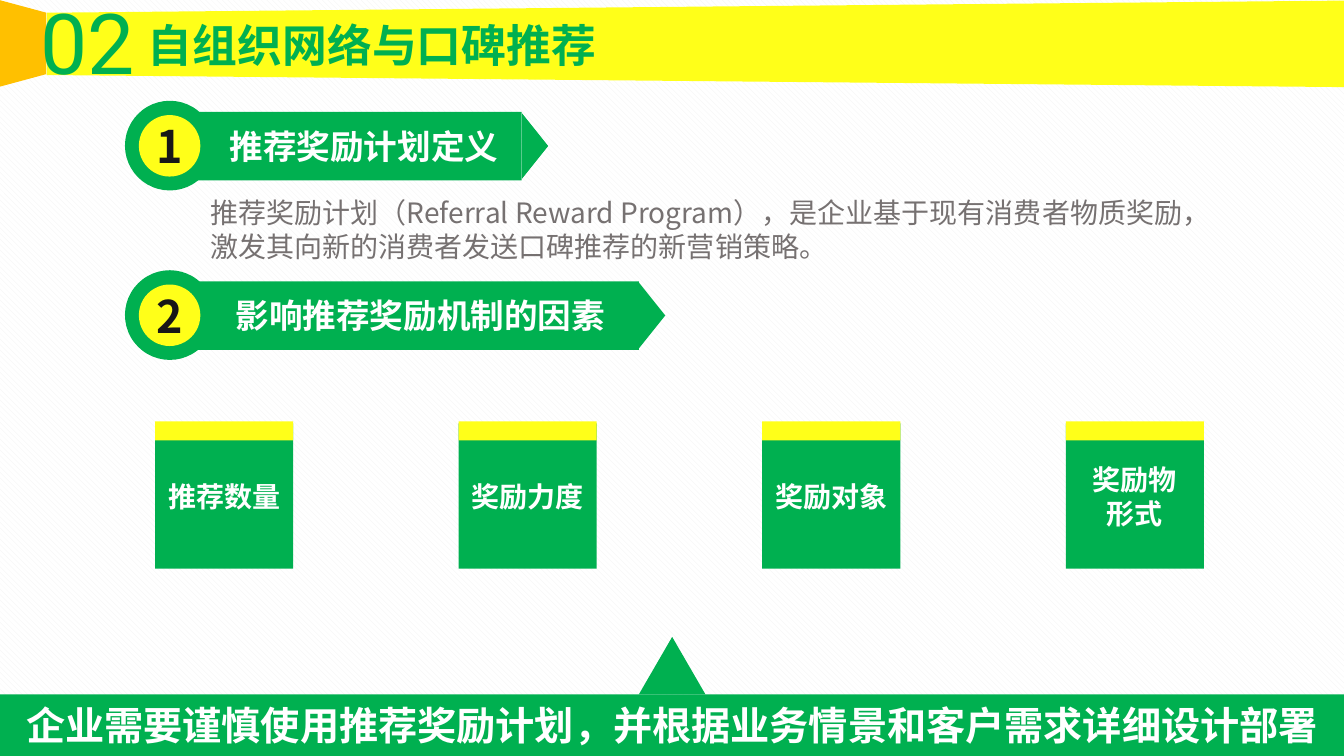
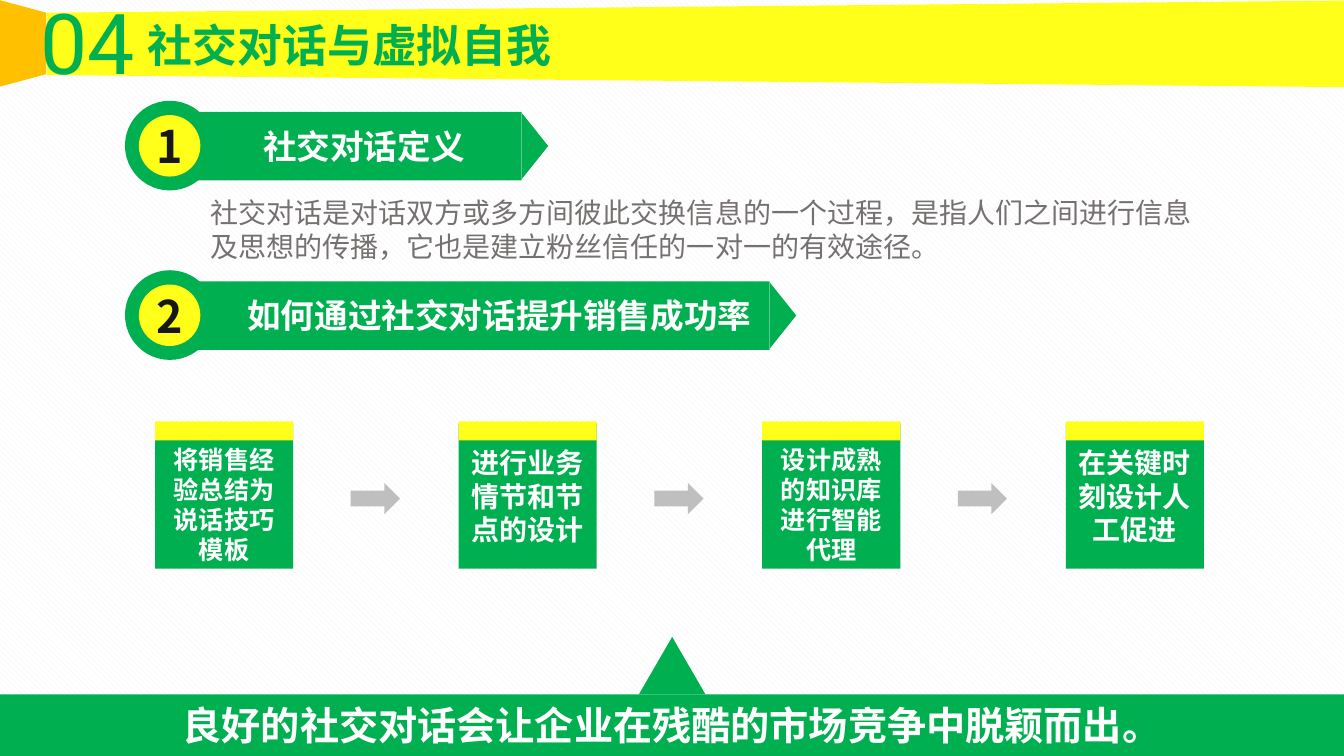
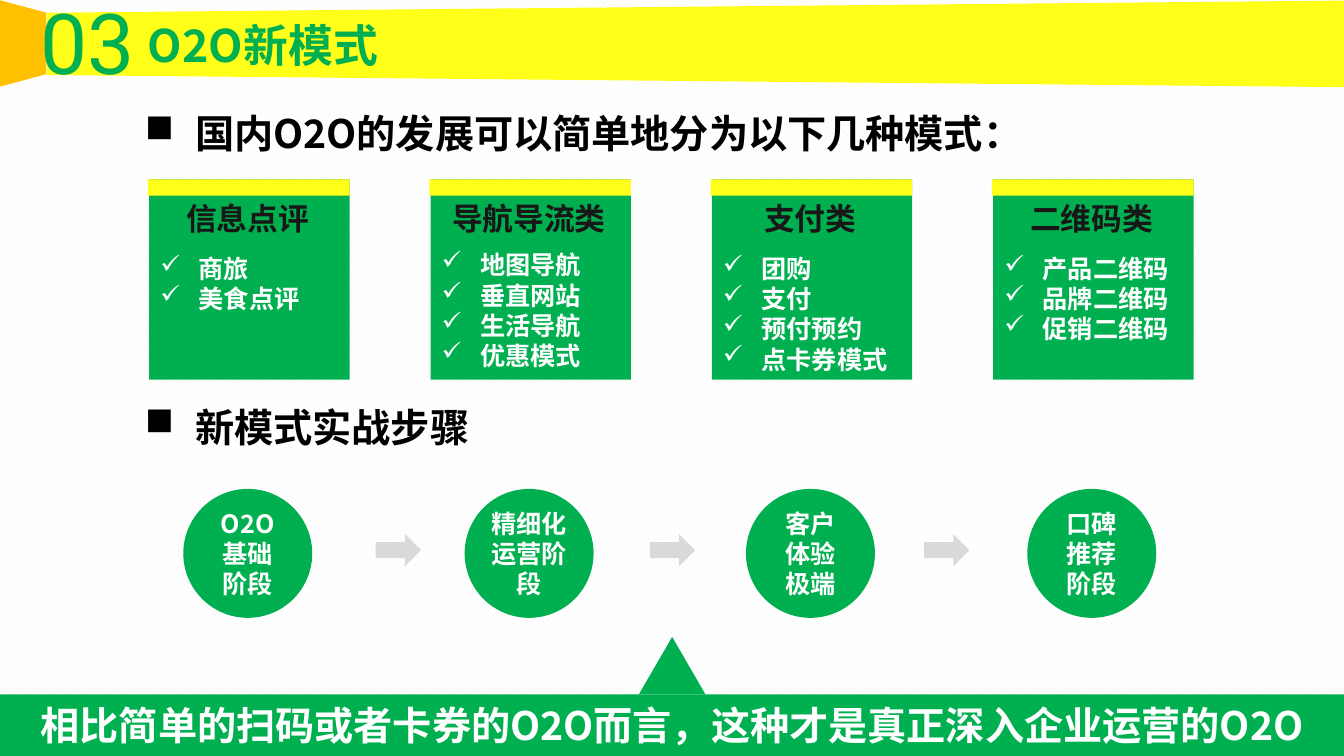
"""Build three slides on referral marketing, social dialogue and O2O models."""
from lxml import etree
from pptx import Presentation
from pptx.dml.color import RGBColor
from pptx.enum.dml import MSO_PATTERN
from pptx.enum.shapes import MSO_SHAPE
from pptx.enum.text import MSO_ANCHOR, PP_ALIGN
from pptx.oxml.ns import qn
from pptx.util import Cm, Pt

RECTANGLE, OVAL = MSO_SHAPE.RECTANGLE, MSO_SHAPE.OVAL
TRIANGLE, TRAPEZOID, ARROW = MSO_SHAPE.ISOSCELES_TRIANGLE, MSO_SHAPE.TRAPEZOID, MSO_SHAPE.RIGHT_ARROW
LEFT, CENTER = PP_ALIGN.LEFT, PP_ALIGN.CENTER
TOP, MIDDLE = MSO_ANCHOR.TOP, MSO_ANCHOR.MIDDLE
DIAGONAL = MSO_PATTERN.WIDE_DOWNWARD_DIAGONAL

SANS = "Noto Sans CJK SC"
THEME = {
    "green": "00B050", "yellow": "FFFF19", "orange": "FFC000",
    "arrow": "BFBFBF", "pale arrow": "D9D9D9",
    "pattern": "F2F2F2", "paper": "FFFFFF",
    "line height": 1.2,
    "number": {"name": "Roboto", "size": 60, "bold": False, "color": "00B050", "align": CENTER},
    "title": {"name": SANS, "size": 32, "bold": True, "color": "00B050", "align": LEFT},
    "conclusion": {"name": SANS, "size": 28, "bold": True, "color": "FFFFFF", "align": CENTER},
    "badge": {"name": SANS, "size": 32, "bold": True, "color": "181717", "align": CENTER},
    "section": {"name": SANS, "size": 24, "bold": True, "color": "FFFFFF", "align": CENTER},
    "body": {"name": SANS, "size": 20, "bold": False, "color": "767171", "align": LEFT},
    "card": {"name": SANS, "size": 20, "bold": True, "color": "FFFFFF", "align": CENTER},
    "small card": {"name": SANS, "size": 18, "bold": True, "color": "FFFFFF", "align": CENTER},
    "heading": {"name": SANS, "size": 28, "bold": True, "color": "000000", "align": LEFT,
                "bullet": "■", "indent": 1.27},
    "list title": {"name": SANS, "size": 22, "bold": True, "color": "181717", "align": CENTER},
    "list item": {"name": SANS, "size": 18, "bold": True, "color": "FFFFFF", "align": LEFT,
                  "bullet": "✓", "indent": 0.97},
}


def add_block(slide, kind, box, fill=None, rotation=0, adjustment=None):
    """Add a flat shape, or a text box when no kind is given."""
    lengths = [Cm(value) for value in box]
    if kind is None:
        return slide.shapes.add_textbox(*lengths)
    shape = slide.shapes.add_shape(kind, *lengths)
    shape.shadow.inherit = False
    shape.fill.solid()
    shape.fill.fore_color.rgb = RGBColor.from_string(THEME[fill])
    shape.line.fill.background()
    shape.rotation = rotation
    if adjustment is not None:
        shape.adjustments[0] = adjustment
    return shape


def write(shape, lines, anchor=TOP, gap=0, **margins):
    """Fill a shape with (style, text) paragraphs; gap follows the first one."""
    frame = shape.text_frame
    frame.word_wrap = True
    frame.vertical_anchor = anchor
    for side, value in margins.items():
        setattr(frame, f"margin_{side}", Cm(value))
    for index, (style, text) in enumerate(lines):
        form = THEME[style]
        paragraph = frame.add_paragraph() if index else frame.paragraphs[0]
        run = paragraph.add_run()
        run.text = text
        paragraph.alignment = form["align"]
        paragraph.line_spacing = Pt(form["size"] * THEME["line height"])
        if index == 1 and gap:
            paragraph.space_before = Pt(gap)
        if "bullet" in form:
            properties = paragraph._p.get_or_add_pPr()
            properties.set("marL", str(Cm(form["indent"])))
            properties.set("indent", str(-Cm(form["indent"])))
            etree.SubElement(properties, qn("a:buChar")).set("char", form["bullet"])
        for name, value in {"name": form["name"], "size": Pt(form["size"]), "bold": form["bold"]}.items():
            setattr(run.font, name, value)
        run.font.color.rgb = RGBColor.from_string(form["color"])
        etree.SubElement(run._r.get_or_add_rPr(), qn("a:ea")).set("typeface", form["name"])


presentation = Presentation()
presentation.slide_width, presentation.slide_height = Cm(33.87), Cm(19.05)
background = presentation.slide_master.background.fill
background.patterned()
background.pattern = DIAGONAL
background.fore_color.rgb = RGBColor.from_string(THEME["pattern"])
background.back_color.rgb = RGBColor.from_string(THEME["paper"])

PAGES = [
    {"number": "02", "title": "自组织网络与口碑推荐",
     "conclusion": "企业需要谨慎使用推荐奖励计划，并根据业务情景和客户需求详细设计部署",
     "sections": [("推荐奖励计划定义", 8.86, 7.52), ("影响推荐奖励机制的因素", 11.81, 10.36)],
     "body": "推荐奖励计划（Referral Reward Program），是企业基于现有消费者物质奖励，激发其向新的消费者发送口碑推荐的新营销策略。",
     "cards": ["推荐数量", "奖励力度", "奖励对象", "奖励物\n形式"], "arrows": 0},
    {"number": "04", "title": "社交对话与虚拟自我",
     "conclusion": "良好的社交对话会让企业在残酷的市场竞争中脱颖而出。",
     "sections": [("社交对话定义", 8.86, 7.52), ("如何通过社交对话提升销售成功率", 15.11, 14.35)],
     "body": "社交对话是对话双方或多方间彼此交换信息的一个过程，是指人们之间进行信息及思想的传播，它也是建立粉丝信任的一对一的有效途径。",
     "cards": ["将销售经验总结为说话技巧模板", "进行业务情节和节点的设计",
               "设计成熟的知识库进行智能代理", "在关键时刻设计人工促进"], "arrows": 3},
    {"number": "03", "title": "O2O新模式",
     "conclusion": "相比简单的扫码或者卡券的O2O而言，这种才是真正深入企业运营的O2O",
     "headings": [("国内O2O的发展可以简单地分为以下几种模式：", 2.51), ("新模式实战步骤", 9.91)],
     "models": [("信息点评", 12, ["商旅", "美食点评"]),
                ("导航导流类", 9.6, ["地图导航", "垂直网站", "生活导航", "优惠模式"]),
                ("支付类", 12, ["团购", "支付", "预付预约", "点卡券模式"]),
                ("二维码类", 12, ["产品二维码", "品牌二维码", "促销二维码"])],
     "stages": [("O2O基础阶段", 0.25), ("精细化运营阶段", 0.1), ("客户体验极端", 0.25), ("口碑推荐阶段", 0.25)]},
]
CARD_PITCH, MODEL_PITCH, STAGE_ARROW_PITCH = 7.65, 7.09, 6.91

for page in PAGES:
    slide = presentation.slides.add_slide(presentation.slide_layouts[6])
    add_block(slide, TRAPEZOID, (16.43, -15.24, 2.18, 32.69), "yellow", 270, 0.14)
    add_block(slide, TRAPEZOID, (-0.51, 0.51, 2.18, 1.17), "orange", 90, 0.27)
    write(add_block(slide, None, (0.66, -0.36, 3.1, 2.82)), [("number", page["number"])])
    write(add_block(slide, None, (3.48, 0.33, 15.34, 1.63)), [("title", page["title"])])
    band = add_block(slide, RECTANGLE, (0, 17.5, 33.87, 1.55), "green")
    write(band, [("conclusion", page["conclusion"])], MIDDLE)
    add_block(slide, TRIANGLE, (16.1, 16.05, 1.68, 1.45), "green")

    for index, (label, band_width, label_width) in enumerate(page.get("sections", [])):
        top = 2.54 + index * 4.27
        add_block(slide, RECTANGLE, (4.29, top + 0.28, band_width, 1.73), "green")
        add_block(slide, OVAL, (3.15, top, 2.26, 2.26), "green")
        badge = add_block(slide, OVAL, (3.5, top + 0.36, 1.55, 1.55), "yellow")
        write(badge, [("badge", str(index + 1))], MIDDLE, left=0, right=0)
        add_block(slide, TRIANGLE, (3.8 + band_width, top + 0.81, 1.65, 0.66), "green", 90)
        write(add_block(slide, None, (5.41, top + 0.5, label_width, 1.27)), [("section", label)])

    if "body" in page:
        write(add_block(slide, None, (5.05, 4.8, 25.93, 1.96)), [("body", page["body"])])

    for index, text in enumerate(page.get("cards", [])):
        left = 3.91 + index * CARD_PITCH
        card = add_block(slide, RECTANGLE, (left, 10.67, 3.48, 3.66), "green")
        if len(text) > 12:
            write(card, [("small card", text)], MIDDLE, top=0.43, bottom=0)
        else:
            write(card, [("card", line) for line in text.split("\n")], MIDDLE)
        add_block(slide, RECTANGLE, (left, 10.62, 3.48, 0.48), "yellow")

    for index in range(page.get("arrows", 0)):
        add_block(slide, ARROW, (8.84 + index * CARD_PITCH, 12.17, 1.24, 0.79), "arrow")

    for text, top in page.get("headings", []):
        write(add_block(slide, None, (3.4, top, 27.99, 1.68)), [("heading", text)], MIDDLE)

    for index, (name, gap, items) in enumerate(page.get("models", [])):
        left = 3.76 + index * MODEL_PITCH
        add_block(slide, RECTANGLE, (left, 4.52, 5.05, 5.05), "green")
        add_block(slide, RECTANGLE, (left - 0.03, 4.52, 5.08, 0.41), "yellow")
        lines = [("list title", name)] + [("list item", item) for item in items]
        write(add_block(slide, None, (left + 0.03, 4.9, 4.9, 4.7)), lines, gap=gap)

    for index, (text, margin) in enumerate(page.get("stages", [])):
        circle = add_block(slide, OVAL, (4.62 + index * MODEL_PITCH, 12.32, 3.25, 3.25), "green")
        write(circle, [("small card", text)], MIDDLE, left=margin, right=margin)
        if index:
            arrow_left = 9.47 + (index - 1) * STAGE_ARROW_PITCH
            add_block(slide, ARROW, (arrow_left, 13.46, 1.14, 0.81), "pale arrow")

presentation.save("out.pptx")
